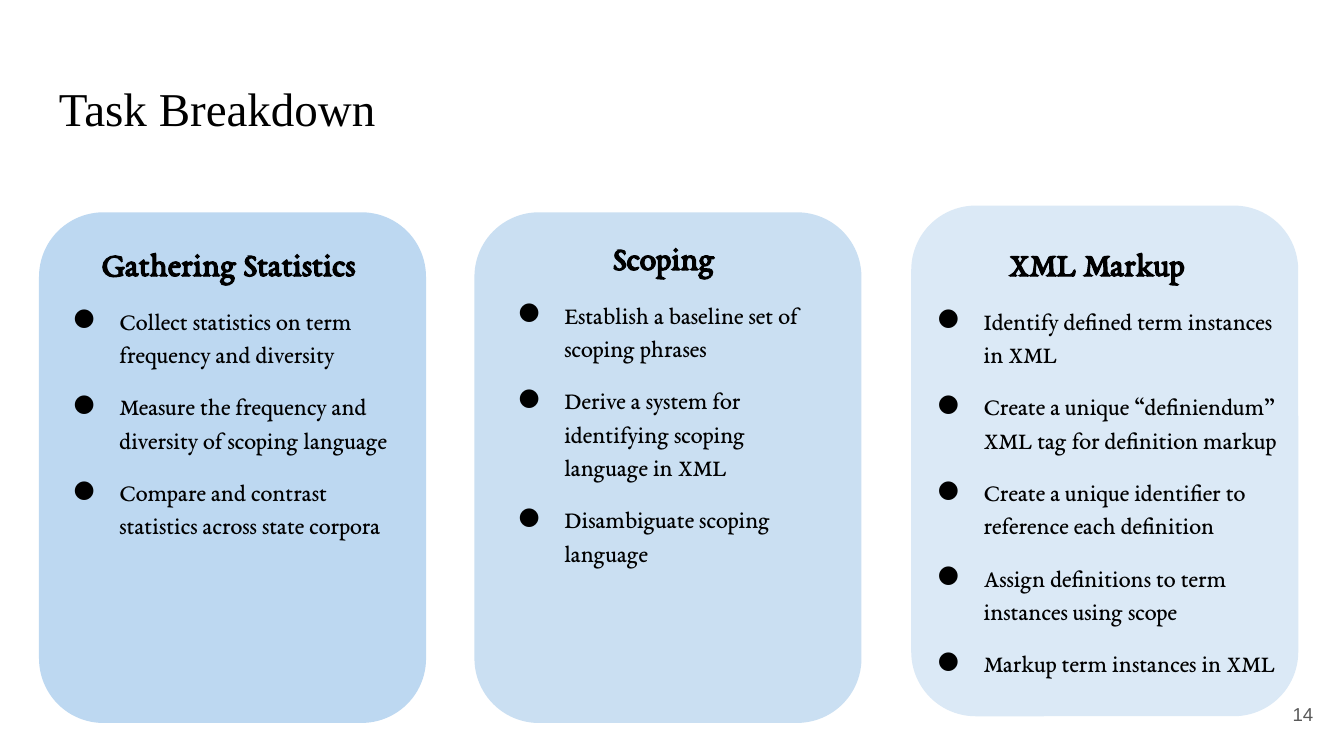
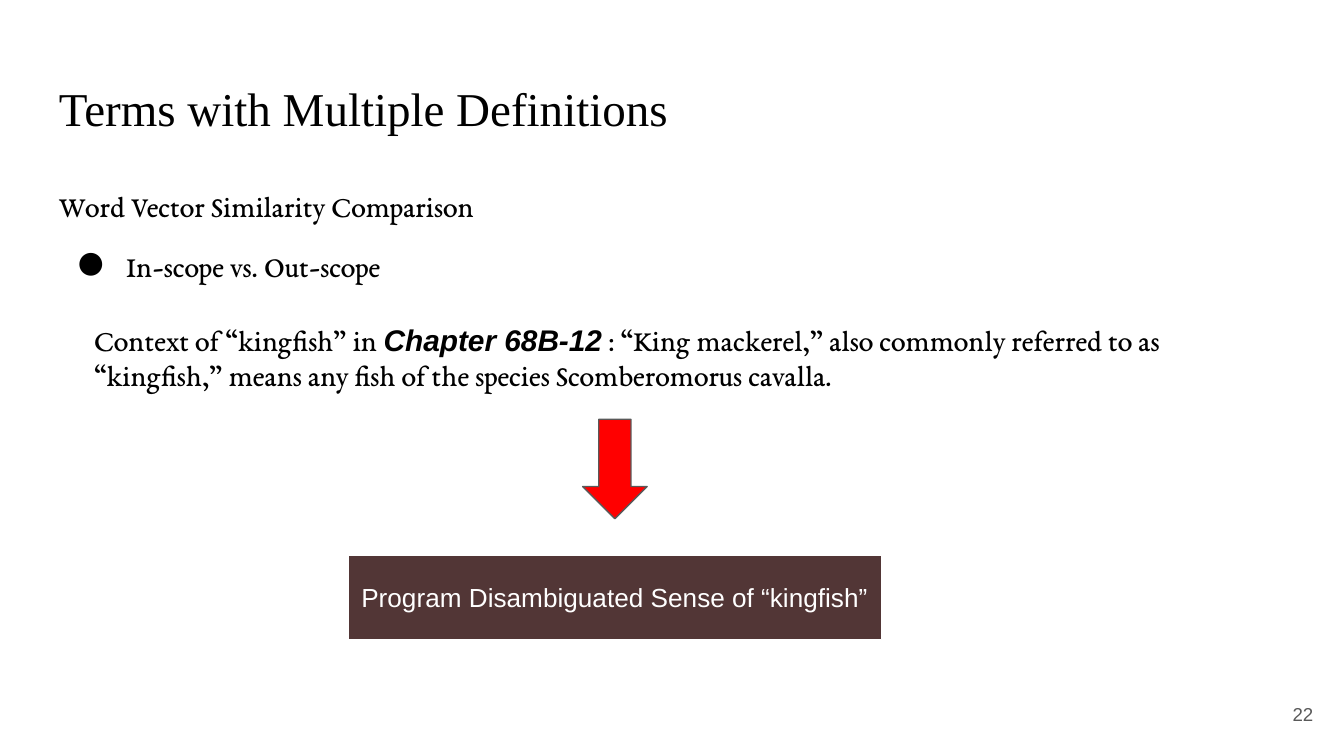
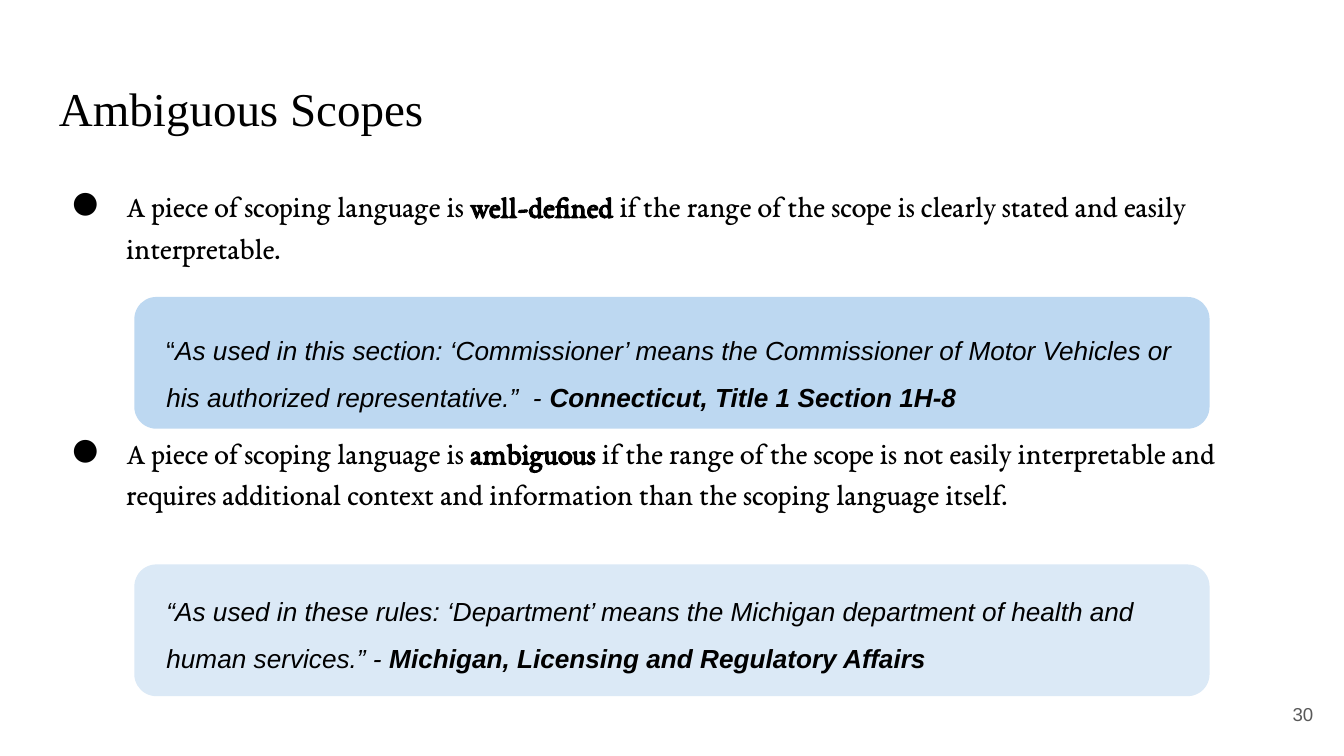
from collections import namedtuple

from lxml.etree import SubElement
from pptx import Presentation
from pptx.dml.color import RGBColor
from pptx.enum.shapes import MSO_SHAPE as Preset
from pptx.enum.text import MSO_ANCHOR as Anchor, PP_ALIGN as Align
from pptx.oxml.ns import qn
from pptx.util import Inches, Pt

BLACK = RGBColor(0x00, 0x00, 0x00)
WHITE = RGBColor(0xFF, 0xFF, 0xFF)
GRAY = RGBColor(0x59, 0x59, 0x59)
RED = RGBColor(0xFF, 0x00, 0x00)
BROWN = RGBColor(0x52, 0x36, 0x36)
BLUE = RGBColor(0xBD, 0xD8, 0xF1)
MID_BLUE = RGBColor(0xCA, 0xDF, 0xF2)
PALE_BLUE = RGBColor(0xDB, 0xE9, 0xF6)

SERIF = "EB Garamond"
SANS = "Arial"
TITLE_FONT = "Times New Roman"

Box = namedtuple("Box", "left top width height")
TITLE_BOX = Box(0.34, 0.49, 9.32, 0.63)
BODY_BOX = Box(0.34, 1.26, 9.32, 3.74)
NUMBER_BOX = Box(9.27, 5.1, 0.6, 0.43)


def inches(box):
    return [Inches(length) for length in box]


def prepare_frame(shape, anchor=Anchor.TOP, wrap=True):
    frame = shape.text_frame
    frame.word_wrap = wrap
    frame.vertical_anchor = anchor
    frame.margin_left = frame.margin_right = Inches(0.1)
    frame.margin_top = frame.margin_bottom = Inches(0.1)
    return frame


def add_frame(slide, box, anchor=Anchor.TOP):
    return prepare_frame(slide.shapes.add_textbox(*inches(box)), anchor)


def add_bullet(paragraph, hanging, font):
    properties = paragraph._p.get_or_add_pPr()
    properties.set("marL", str(Inches(0.5)))
    properties.set("indent", str(-Inches(hanging)))
    color = SubElement(properties, qn("a:buClr"))
    SubElement(color, qn("a:srgbClr")).set("val", str(BLACK))
    SubElement(properties, qn("a:buFont")).set("typeface", font)
    SubElement(properties, qn("a:buChar")).set("char", "●")


def write(frame, text, size=16, font=SERIF, color=BLACK, bold=False, italic=False,
          align=Align.LEFT, spacing=1.0, before=0, hanging=None):
    paragraph = frame.paragraphs[0]
    if paragraph.runs:
        paragraph = frame.add_paragraph()
    paragraph.alignment = align
    paragraph.line_spacing = spacing
    paragraph.space_before = Pt(before)
    if hanging is not None:
        add_bullet(paragraph, hanging, font)
    pieces = [(text, {})] if isinstance(text, str) else text
    for words, changes in pieces:
        run = paragraph.add_run()
        run.text = words
        run.font.size = Pt(size)
        run.font.name = changes.get("font", font)
        run.font.bold = changes.get("bold", bold)
        run.font.italic = changes.get("italic", italic)
        run.font.color.rgb = color


def add_shape(slide, preset, box, fill, line=None):
    shape = slide.shapes.add_shape(preset, *inches(box))
    shape.shadow.inherit = False
    shape.fill.solid()
    shape.fill.fore_color.rgb = fill
    if line is None:
        shape.line.fill.background()
    else:
        shape.line.color.rgb = line
        shape.line.width = Pt(0.75)
    return shape


def add_titled_slide(presentation, title, number):
    slide = presentation.slides.add_slide(presentation.slide_layouts[6])
    write(add_frame(slide, TITLE_BOX), title, size=25.2, font=TITLE_FONT)
    write(add_frame(slide, NUMBER_BOX, Anchor.MIDDLE), str(number),
          size=10, font=SANS, color=GRAY, align=Align.RIGHT)
    return slide


def add_task_card(slide, card, text_box, fill, heading, tasks, heading_spacing=1.15):
    add_shape(slide, Preset.ROUNDED_RECTANGLE, card, fill)
    frame = add_frame(slide, text_box)
    write(frame, heading, size=18, bold=True, align=Align.CENTER, spacing=heading_spacing)
    for task in tasks:
        write(frame, task, size=13, spacing=1.15, before=10, hanging=0.34)


def build_task_slide(presentation):
    slide = add_titled_slide(presentation, "Task Breakdown", 14)
    add_task_card(
        slide, Box(0.29, 1.58, 2.88, 3.8), Box(0.29, 1.66, 2.82, 2.48), BLUE,
        "Gathering Statistics",
        ["Collect statistics on term frequency and diversity",
         "Measure the frequency and diversity of scoping language",
         "Compare and contrast statistics across state corpora"])
    add_task_card(
        slide, Box(3.53, 1.58, 2.88, 3.8), Box(3.6, 1.66, 2.68, 4.64), MID_BLUE,
        "Scoping",
        ["Establish a baseline set of scoping phrases",
         "Derive a system for identifying scoping language in XML",
         "Disambiguate scoping language"],
        heading_spacing=1.0)
    add_task_card(
        slide, Box(6.78, 1.53, 2.88, 3.8), Box(6.72, 1.66, 2.88, 4.45), PALE_BLUE,
        "XML Markup",
        ["Identify defined term instances in XML",
         "Create a unique “definiendum” XML tag for definition markup",
         "Create a unique identifier to reference each definition",
         "Assign definitions to term instances using scope",
         "Markup term instances in XML"])


def add_outcome(slide, box, text):
    arrow_width, arrow_height, rise = 0.48, 0.74, 1.01
    outcome = add_shape(slide, Preset.RECTANGLE, box, BROWN, WHITE)
    write(prepare_frame(outcome, Anchor.MIDDLE, wrap=False), text,
          size=14, font=SANS, color=WHITE)
    arrow = Box(box.left + (box.width - arrow_width) / 2, box.top - rise,
                arrow_width, arrow_height)
    add_shape(slide, Preset.DOWN_ARROW, arrow, RED, GRAY)


def build_definitions_slide(presentation):
    slide = add_titled_slide(presentation, "Terms with Multiple Definitions", 22)
    body = add_frame(slide, BODY_BOX)
    write(body, "Word Vector Similarity Comparison", spacing=1.15)
    write(body, "In-scope vs. Out-scope", spacing=1.15, before=10, hanging=0.36)
    write(add_frame(slide, Box(0.6, 2.29, 8.8, 0.74)), [
        ("Context of “kingfish” in ", {}),
        ("Chapter 68B-12", {"font": SANS, "bold": True, "italic": True}),
        (" : “King mackerel,” also commonly referred to as “kingfish,” means any "
         "fish of the species Scomberomorus cavalla.", {})])
    add_outcome(slide, Box(2.59, 4.13, 3.97, 0.63),
                "Program Disambiguated Sense of “kingfish”")


def add_quote(slide, card, fill, pieces, text_drop, text_height):
    add_shape(slide, Preset.ROUNDED_RECTANGLE, card, fill)
    text_box = Box(card.left + 0.14, card.top + text_drop, card.width - 0.14, text_height)
    write(add_frame(slide, text_box), pieces, size=14, font=SANS, italic=True, spacing=1.5)


def build_scopes_slide(presentation):
    slide = add_titled_slide(presentation, "Ambiguous Scopes", 30)
    body = add_frame(slide, BODY_BOX)
    scopes = [
        ("well-defined ", "if the range of the scope is clearly stated and easily "
         "interpretable.", 0),
        ("ambiguous ", "if the range of the scope is not easily interpretable and requires "
         "additional context and information than the scoping language itself.", 88)]
    for kind, meaning, before in scopes:
        write(body, [("A piece of scoping language is ", {}), (kind, {"bold": True}),
                     (meaning, {})], spacing=1.15, before=before, hanging=0.4)
    add_quote(slide, Box(1, 2.21, 8, 0.98), BLUE, [
        ("“", {"italic": False}),
        ("As used in this section: ‘Commissioner’ means the Commissioner of Motor "
         "Vehicles or his authorized representative.”  - ", {}),
        ("Connecticut, Title 1 Section 1H-8", {"bold": True})], 0.06, 1.18)
    add_quote(slide, Box(1, 4.2, 8, 0.98), PALE_BLUE, [
        ("“As used in these rules: ‘Department’ means the Michigan department of "
         "health and human services.” - ", {}),
        ("Michigan, Licensing and Regulatory Affairs", {"bold": True})], 0.01, 1.41)


def main():
    presentation = Presentation()
    presentation.slide_width = Inches(10)
    presentation.slide_height = Inches(10 * 9 / 16)
    build_task_slide(presentation)
    build_definitions_slide(presentation)
    build_scopes_slide(presentation)
    presentation.save("out.pptx")


if __name__ == "__main__":
    main()
